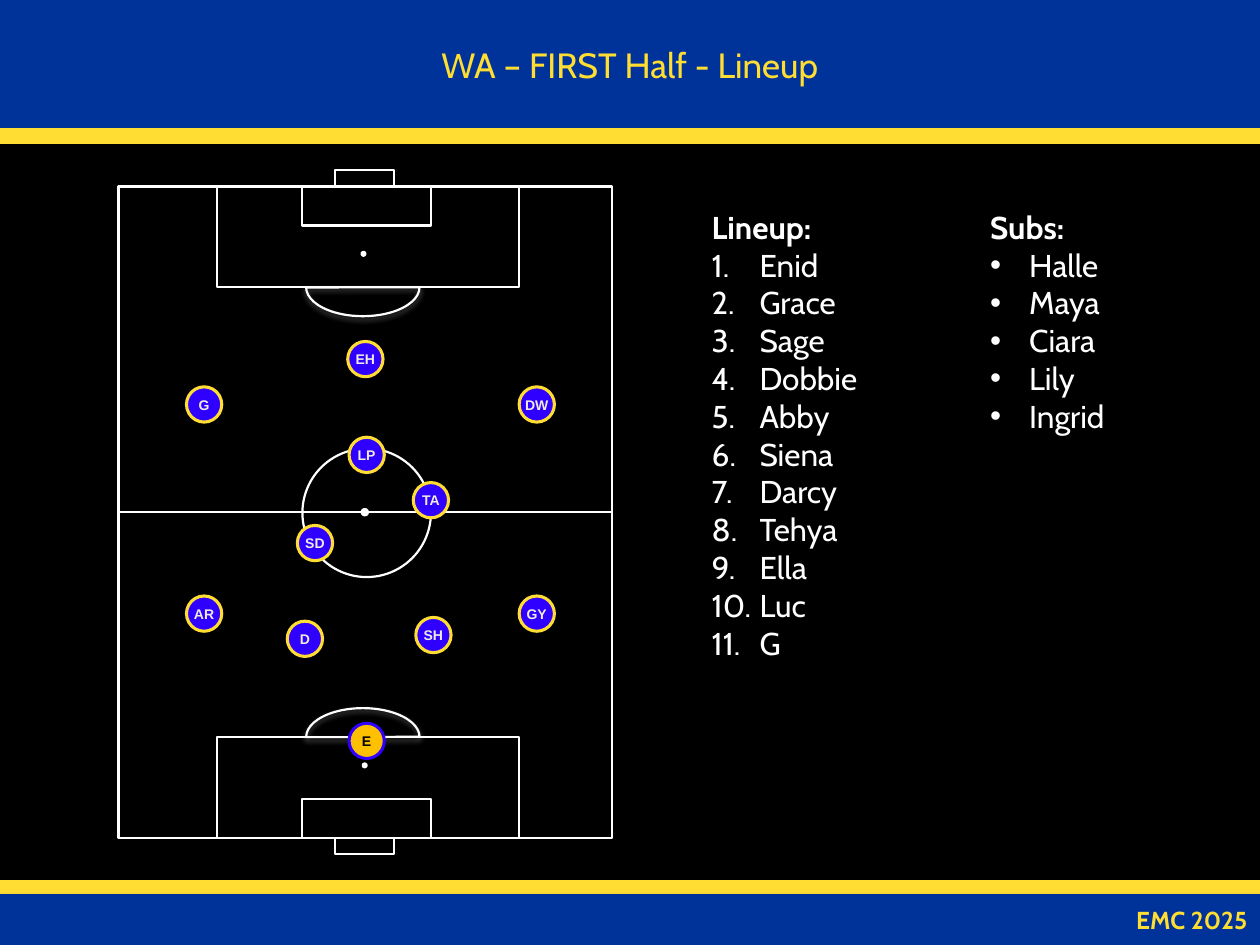
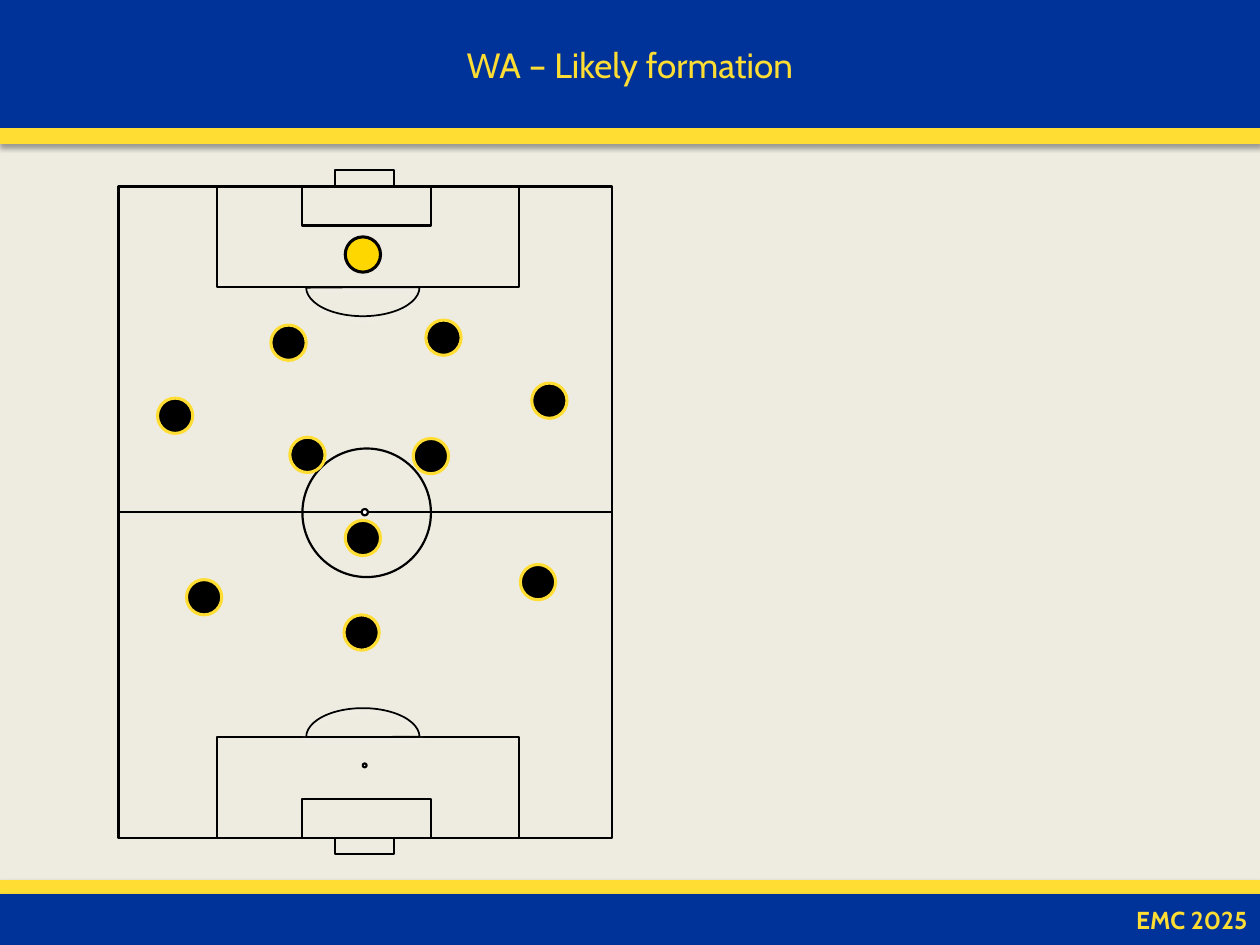
from lxml import etree
from pptx import Presentation
from pptx.dml.color import RGBColor
from pptx.enum.shapes import MSO_CONNECTOR, MSO_SHAPE
from pptx.enum.text import MSO_ANCHOR, MSO_AUTO_SIZE, PP_ALIGN
from pptx.oxml.ns import qn
from pptx.util import Inches, Pt

RECTANGLE, OVAL, PIE = MSO_SHAPE.RECTANGLE, MSO_SHAPE.OVAL, MSO_SHAPE.PIE
STRAIGHT = MSO_CONNECTOR.STRAIGHT
MIDDLE = MSO_ANCHOR.MIDDLE
FIT_SHAPE = MSO_AUTO_SIZE.SHAPE_TO_FIT_TEXT
LEFT, CENTER, RIGHT = PP_ALIGN.LEFT, PP_ALIGN.CENTER, PP_ALIGN.RIGHT

BLACK = RGBColor(0x00, 0x00, 0x00)
WHITE = RGBColor(0xFF, 0xFF, 0xFF)
CREAM = RGBColor(0xEE, 0xEC, 0xE1)
BAND_BLUE = RGBColor(0x00, 0x33, 0x99)
YELLOW = RGBColor(0xFF, 0xDD, 0x33)
PLAYER_BLUE = RGBColor(0x2F, 0x00, 0xFF)
KEEPER_AMBER = RGBColor(0xFF, 0xC0, 0x00)
KEEPER_GOLD = RGBColor(0xFF, 0xD7, 0x00)

TITLE_FONT, LABEL_FONT = "Cabin", "Arial"
FOOTER = "EMC 2025"

# Pitch geometry in inches: left, top, width, height
PITCH = (0.94, 1.48, 3.92, 5.17)
HALFWAY = PITCH[1] + PITCH[3] / 2
CENTER_CIRCLE = (2.4, 3.56, 1.02, 1.02)
SPOTS = [(2.87, 4.04, 0.05), (2.87, 2.0, 0.03), (2.88, 6.06, 0.03)]
END_BOXES = [  # top end, mirrored at the bottom end
    (1.72, 1.48, 2.4, 0.8),
    (2.4, 1.48, 1.02, 0.31),
    (2.66, 1.35, 0.47, 0.13),
]
PENALTY_ARC = (2.43, 2.05, 0.9, 0.46)
PLAYER_SIZE = 0.28

# Players: label, left, top
OUR_KEEPER = ("E", 2.77, 5.74)
OUR_PLAYERS = [
    ("SH", 3.3, 4.9), ("D", 2.28, 4.93), ("AR", 1.48, 4.73), ("GY", 4.12, 4.73),
    ("SD", 2.36, 4.17), ("TA", 3.28, 3.83), ("LP", 2.77, 3.47), ("EH", 2.76, 2.71),
    ("DW", 4.12, 3.07), ("G", 1.48, 3.07),
]
THEIR_KEEPER = ("", 2.74, 1.88)
THEIR_PLAYERS = [
    ("", 2.15, 2.58), ("", 4.22, 3.04), ("", 2.3, 3.47), ("", 2.74, 4.13),
    ("", 3.28, 3.48), ("", 1.25, 3.16), ("", 1.48, 4.6), ("", 2.73, 4.88),
    ("", 3.38, 2.54), ("", 4.13, 4.48),
]
LINEUP = ["Enid", "Grace", "Sage", "Dobbie", "Abby", "Siena",
          "Darcy", "Tehya", "Ella", "Luc", "G"]
SUBS = ["Halle", "Maya", "Ciara", "Lily", "Ingrid"]


def add_shadow(shape, color):
    effects = shape._element.spPr.get_or_add_effectLst() if hasattr(
        shape._element.spPr, "get_or_add_effectLst") else etree.SubElement(
        shape._element.spPr, qn("a:effectLst"))
    shadow = etree.SubElement(effects, qn("a:outerShdw"), blurRad="40000",
                              dist="23000", dir="5400000", rotWithShape="0")
    rgb = etree.SubElement(shadow, qn("a:srgbClr"), val=str(color))
    etree.SubElement(rgb, qn("a:alpha"), val="35000")


def add_figure(shapes, kind, box, line, width, fill=None, shadow=None):
    """Add a preset shape; without a fill it is an outline."""
    shape = shapes.add_shape(kind, *[Inches(length) for length in box])
    if fill is None:
        shape.fill.background()
    else:
        shape.fill.solid()
        shape.fill.fore_color.rgb = fill
    shape.line.color.rgb = line
    shape.line.width = Pt(width)
    if shadow is None:
        shape.shadow.inherit = False
    else:
        add_shadow(shape, shadow)
    return shape


def style(paragraph, size, color, font=TITLE_FONT, bold=False, align=LEFT):
    paragraph.alignment = align
    paragraph.font.size = Pt(size)
    paragraph.font.name = font
    paragraph.font.bold = bold
    paragraph.font.color.rgb = color


def write(shape, text, *args, **options):
    frame = shape.text_frame
    frame.vertical_anchor = MIDDLE
    frame.text = text
    style(frame.paragraphs[0], *args, **options)


def add_bands(slide, title):
    bands = [(0, 1.02, BAND_BLUE), (6.99, 0.12, YELLOW),
             (1.02, 0.12, YELLOW), (7.1, 0.4, BAND_BLUE)]
    header, _, _, footer = [
        add_figure(slide.shapes, RECTANGLE, (0, top, 10, height), color, 0.75, color, BLACK)
        for top, height, color in bands]
    write(header, title, 20, YELLOW, align=CENTER)
    write(footer, FOOTER, 14, YELLOW, bold=True, align=RIGHT)


def mirrored(box):
    """Reflect a box across the halfway line."""
    left, top, width, height = box
    return left, 2 * HALFWAY - top - height, width, height


def add_pitch(slide, color, arc_width):
    shapes = slide.shapes.add_group_shape().shapes
    pitch = add_figure(shapes, RECTANGLE, PITCH, color, 1.25)
    halfway_line = shapes.add_connector(STRAIGHT, 0, 0, 0, 0)
    halfway_line.begin_connect(pitch, 1)
    halfway_line.end_connect(pitch, 3)
    halfway_line.line.color.rgb = color
    halfway_line.line.width = Pt(1.25)
    etree.SubElement(halfway_line._element.spPr, qn("a:effectLst"))
    add_figure(shapes, OVAL, CENTER_CIRCLE, color, 1.25)
    for left, top, size in SPOTS:
        add_figure(shapes, OVAL, (left, top, size, size), color, 1.25, WHITE)
    for box in END_BOXES:
        add_figure(shapes, RECTANGLE, box, color, 1.25)
        add_figure(shapes, RECTANGLE, mirrored(box), color, 1.25)
    for box, rotation in [(PENALTY_ARC, 0), (mirrored(PENALTY_ARC), 180)]:
        arc = add_figure(shapes, PIE, box, color, arc_width, shadow=WHITE)
        arc.adjustments[0] = 0
        arc.adjustments[1] = 107.73
        arc.rotation = rotation


def add_player(slide, player, fill, line, text_color=CREAM):
    label, left, top = player
    marker = add_figure(slide.shapes, OVAL, (left, top, PLAYER_SIZE, PLAYER_SIZE),
                        line, 1.75, fill)
    if label:
        frame = marker.text_frame
        frame.margin_left = frame.margin_right = 0
        frame.margin_top = frame.margin_bottom = Inches(0.04)
        write(marker, label, 8, text_color, font=LABEL_FONT, bold=True, align=CENTER)


def add_list(slide, box, heading, names, indent, numbered):
    text_box = slide.shapes.add_textbox(*[Inches(length) for length in box])
    frame = text_box.text_frame
    frame.word_wrap = True
    frame.auto_size = FIT_SHAPE
    frame.text = heading
    style(frame.paragraphs[0], 18, WHITE, bold=True)
    for name in names:
        paragraph = frame.add_paragraph()
        paragraph.text = name
        properties = paragraph._p.get_or_add_pPr()
        properties.set("marL", str(Inches(indent)))
        properties.set("indent", str(-Inches(indent)))
        if numbered:
            etree.SubElement(properties, qn("a:buFont"), typeface="+mj-lt")
            etree.SubElement(properties, qn("a:buAutoNum"), type="arabicPeriod")
        else:
            etree.SubElement(properties, qn("a:buFont"), typeface=LABEL_FONT)
            etree.SubElement(properties, qn("a:buChar"), char="•")
        style(paragraph, 18, WHITE)


def add_slide(presentation, background, title, pitch_color, arc_width):
    slide = presentation.slides.add_slide(presentation.slide_layouts[6])
    slide.background.fill.solid()
    slide.background.fill.fore_color.rgb = background
    add_bands(slide, title)
    add_pitch(slide, pitch_color, arc_width)
    return slide


def main():
    presentation = Presentation()
    presentation.slide_width = Inches(10)
    presentation.slide_height = Inches(7.5)

    lineup = add_slide(presentation, BLACK, "WA – FIRST Half - Lineup", WHITE, 1.25)
    for player in OUR_PLAYERS:
        add_player(lineup, player, PLAYER_BLUE, YELLOW)
    add_player(lineup, OUR_KEEPER, KEEPER_AMBER, PLAYER_BLUE, BLACK)
    add_list(lineup, (5.55, 1.6, 2.06, 3.74), "Lineup:", LINEUP, 0.38, numbered=True)
    add_list(lineup, (7.76, 1.6, 1.79, 2.22), "Subs:", SUBS, 0.31, numbered=False)

    formation = add_slide(presentation, CREAM, "WA – Likely formation", BLACK, 1)
    for player in THEIR_PLAYERS:
        add_player(formation, player, BLACK, YELLOW)
    add_player(formation, THEIR_KEEPER, KEEPER_GOLD, BLACK)

    presentation.save("out.pptx")


if __name__ == "__main__":
    main()
